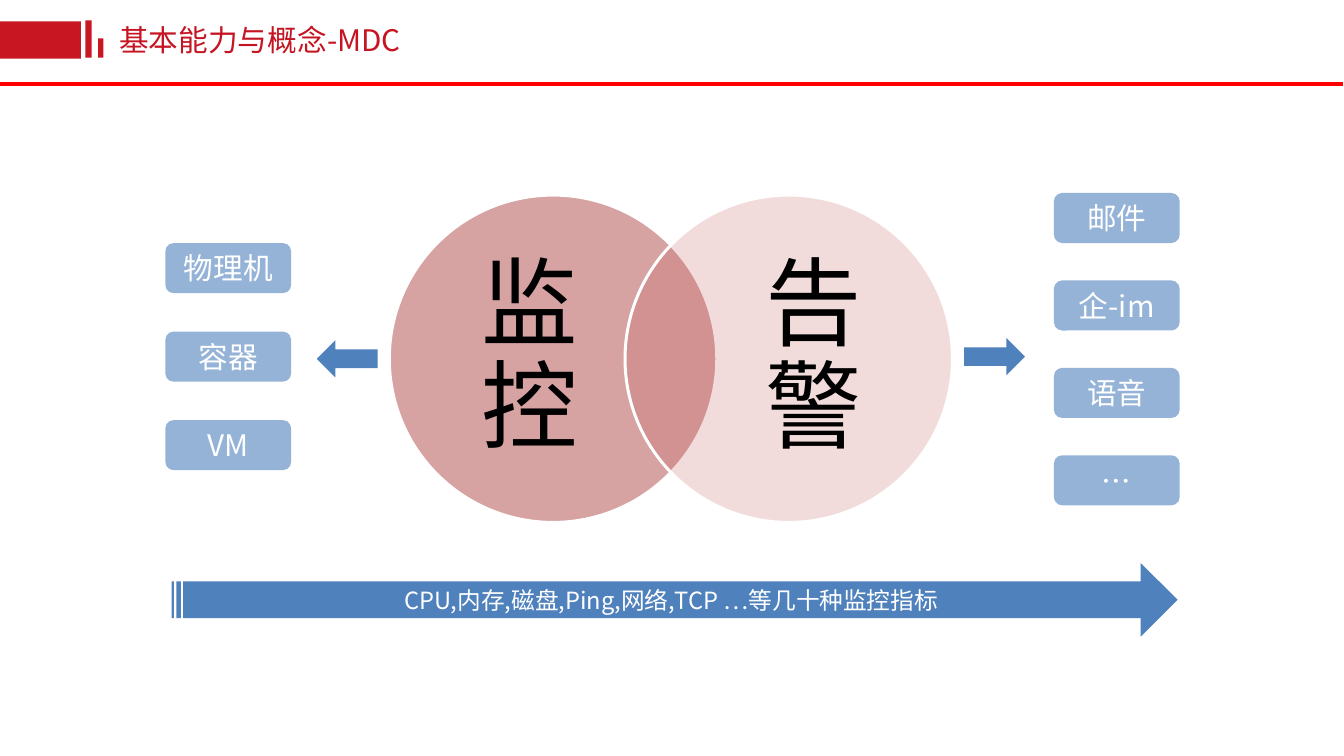
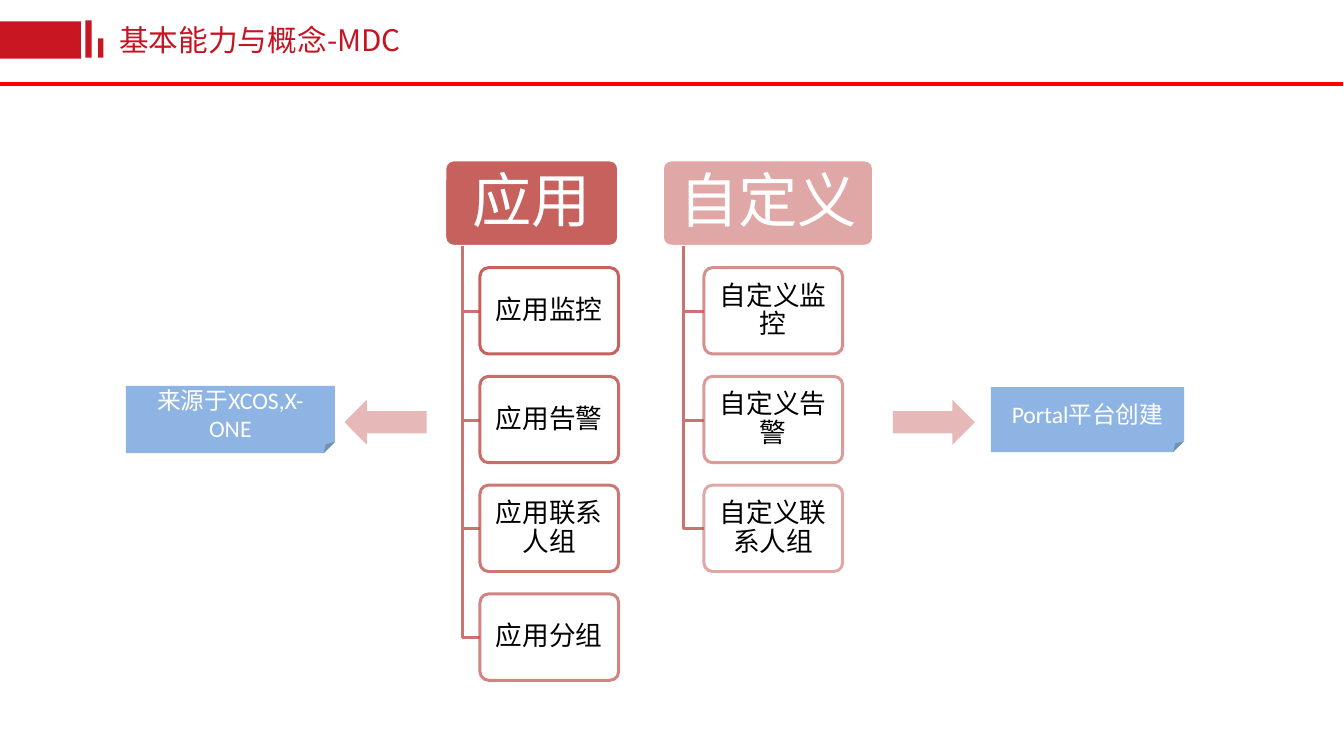
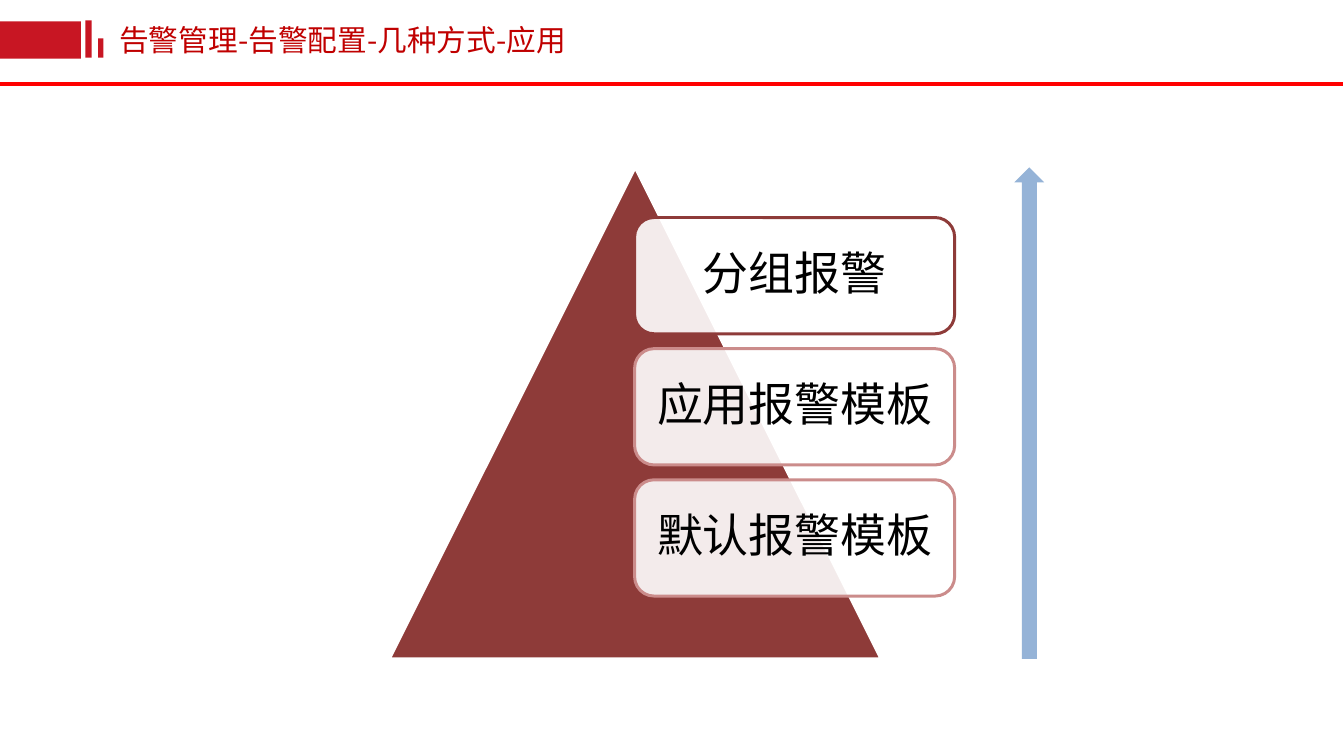
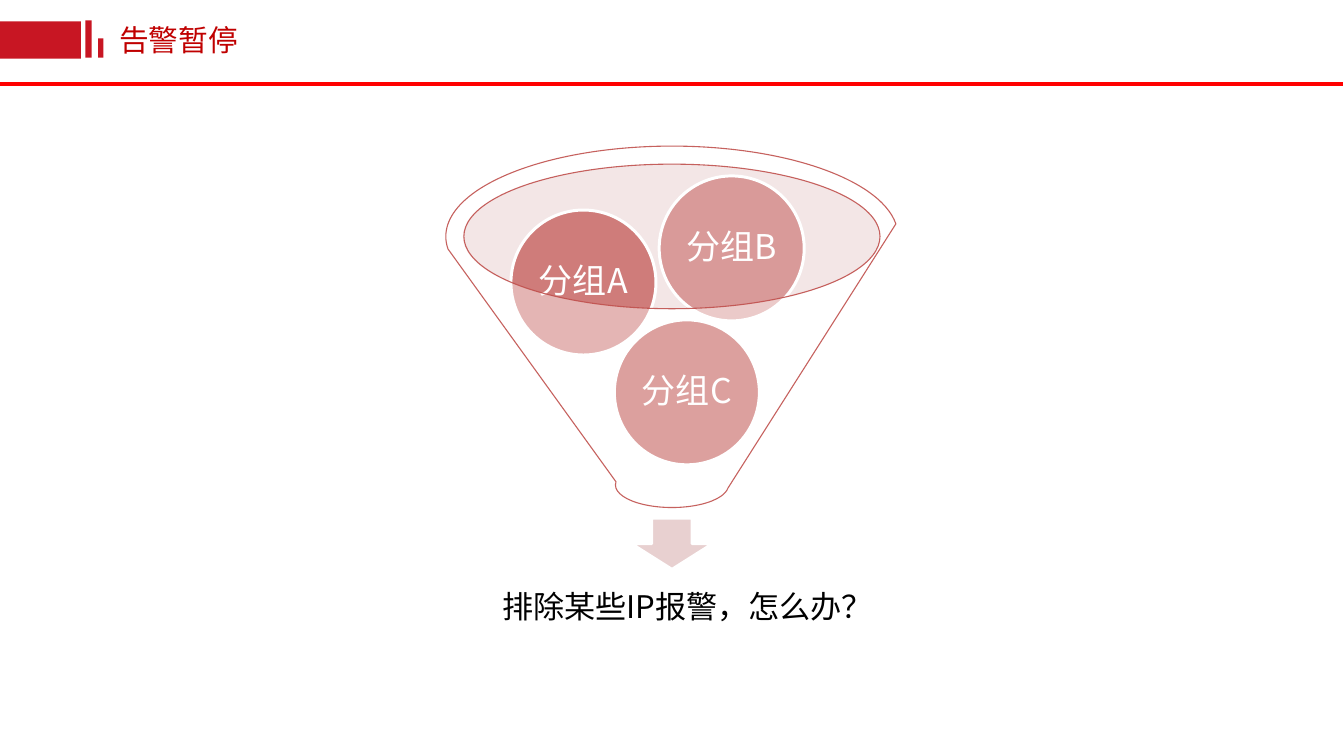
"""Build four slides on monitoring and alerting: scope, structure, alarm templates and alarm pausing."""
from dataclasses import dataclass

from lxml import etree
from pptx import Presentation
from pptx.dml.color import RGBColor
from pptx.enum.shapes import MSO_CONNECTOR, MSO_SHAPE
from pptx.enum.text import MSO_ANCHOR, PP_ALIGN
from pptx.oxml.ns import qn
from pptx.util import Inches, Pt

RECT, ROUND, OVAL = MSO_SHAPE.RECTANGLE, MSO_SHAPE.ROUNDED_RECTANGLE, MSO_SHAPE.OVAL
LEFT_ARROW, RIGHT_ARROW = MSO_SHAPE.LEFT_ARROW, MSO_SHAPE.RIGHT_ARROW
UP_ARROW, DOWN_ARROW = MSO_SHAPE.UP_ARROW, MSO_SHAPE.DOWN_ARROW
STRIPED_ARROW, NOTE = MSO_SHAPE.STRIPED_RIGHT_ARROW, MSO_SHAPE.FOLDED_CORNER
TRIANGLE, FUNNEL = MSO_SHAPE.ISOSCELES_TRIANGLE, MSO_SHAPE.FUNNEL
LEFT, CENTER = PP_ALIGN.LEFT, PP_ALIGN.CENTER
TOP, MIDDLE = MSO_ANCHOR.TOP, MSO_ANCHOR.MIDDLE


@dataclass(frozen=True)
class Theme:
    font: str = "Noto Sans CJK SC"
    latin_font: str = "Calibri"
    white: str = "FFFFFF"
    black: str = "000000"
    band: str = "C81623"
    rule: str = "FF0000"
    title_bright: str = "C51422"
    title_dark: str = "C00000"
    red: str = "C0504D"
    venn_left: str = "AE4946"
    venn_right: str = "C0524F"
    stem: str = "C77472"
    pink_arrow: str = "E6B9B8"
    pyramid: str = "8E3B39"
    pyramid_light: str = "CB8C8B"
    rim: str = "E2C2C2"
    drop: str = "E8D0D0"
    blue: str = "4F81BD"
    chip: str = "95B3D7"
    note: str = "8EB4E3"
    venn_size: int = 65
    header_size: int = 40
    template_size: int = 31
    group_size: int = 23
    question_size: int = 21
    title_size: int = 20
    item_size: int = 18
    note_size: int = 16


THEME = Theme()


def draw(slide, kind, at, fill, opacity=100, line=None, weight=2, line_opacity=100, radius=None):
    shape = slide.shapes.add_shape(kind, *map(Inches, at))
    shape.shadow.inherit = False
    shape.fill.solid()
    shape.fill.fore_color.rgb = RGBColor.from_string(fill)
    if line:
        shape.line.color.rgb = RGBColor.from_string(line)
        shape.line.width = Pt(weight)
    else:
        shape.line.fill.background()
    if radius is not None:
        shape.adjustments[0] = radius
    for color, percent in zip(shape._element.spPr.iter(qn("a:srgbClr")), (opacity, line_opacity)):
        if percent < 100:
            etree.SubElement(color, qn("a:alpha"), val=str(percent * 1000))
    return shape


def write(shape, text, size, color, font=THEME.font, align=CENTER, anchor=MIDDLE, inset=(0.1, 0.05), spacing=None):
    frame = shape.text_frame
    frame.word_wrap = True
    frame.vertical_anchor = anchor
    frame.margin_left = frame.margin_right = Inches(inset[0])
    frame.margin_top = frame.margin_bottom = Inches(inset[1])
    paragraph = frame.paragraphs[0]
    paragraph.text = text
    paragraph.alignment = align
    if spacing:
        paragraph.line_spacing = spacing
    paragraph.font.size = Pt(size)
    paragraph.font.name = font
    paragraph.font.color.rgb = RGBColor.from_string(color)
    defaults = paragraph._p.pPr.find(qn("a:defRPr"))
    etree.SubElement(defaults, qn("a:ea"), typeface=font)


deck = Presentation()
deck.slide_width, deck.slide_height = Inches(12.6), Inches(7.09)

slides = []
for title, title_color in [
    ("基本能力与概念-MDC", THEME.title_bright),
    ("基本能力与概念-MDC", THEME.title_bright),
    ("告警管理-告警配置-几种方式-应用", THEME.title_dark),
    ("告警暂停", THEME.title_dark),
]:
    slide = deck.slides.add_slide(deck.slide_layouts[6])
    for band in [(0.8, 0.19, 0.06, 0.35), (0.92, 0.36, 0.05, 0.18), (0, 0.2, 0.76, 0.35)]:
        draw(slide, RECT, band, THEME.band)
    rule = slide.shapes.add_connector(
        MSO_CONNECTOR.STRAIGHT, Inches(0), Inches(0.79), Inches(12.59), Inches(0.79))
    rule.line.color.rgb = RGBColor.from_string(THEME.rule)
    rule.line.width = Pt(3)
    etree.SubElement(rule._element.spPr, qn("a:effectLst"))
    heading = slide.shapes.add_textbox(Inches(1.02), Inches(0.16), Inches(5.51), Inches(0.44))
    write(heading, title, THEME.title_size, title_color, align=LEFT, anchor=TOP)
    slides.append(slide)

scope, structure, templates, pausing = slides

for circle_left, label_left, label, fill, opacity in [
    (3.65, 4.08, "监控", THEME.venn_left, 50),
    (5.86, 6.74, "告警", THEME.venn_right, 20),
]:
    draw(scope, OVAL, (circle_left, 1.83, 3.07, 3.07), fill, opacity, THEME.white)
    caption = scope.shapes.add_textbox(Inches(label_left), Inches(2.19), Inches(1.77), Inches(2.35))
    write(caption, label, THEME.venn_size, THEME.black, THEME.latin_font, inset=(0, 0), spacing=0.9)

for left, top, pitch, names in [
    (1.55, 2.28, 0.83, ["物理机", "容器", "VM"]),
    (9.88, 1.81, 0.82, ["邮件", "企-im", "语音", "…"]),
]:
    for row, name in enumerate(names):
        chip = draw(scope, ROUND, (left, top + row * pitch, 1.18, 0.47), THEME.chip)
        write(chip, name, THEME.title_size, THEME.white)

metrics = draw(scope, STRIPED_ARROW, (1.61, 5.28, 9.43, 0.69), THEME.blue)
write(metrics, "CPU,内存,磁盘,Ping,网络,TCP …等几十种监控指标", THEME.note_size, THEME.white)
draw(scope, LEFT_ARROW, (2.97, 3.19, 0.57, 0.35), THEME.blue)
draw(scope, RIGHT_ARROW, (9.04, 3.17, 0.57, 0.35), THEME.blue)

fade_step = 0
for header, left, width, stem_left, item_left, opacity, items in [
    ("应用", 4.17, 1.63, 4.34, 4.5, 90, ["应用监控", "应用告警", "应用联系人组", "应用分组"]),
    ("自定义", 6.21, 1.98, 6.41, 6.6, 50, ["自定义监控", "自定义告警", "自定义联系人组"]),
]:
    head = draw(structure, ROUND, (left, 1.5, width, 0.81), THEME.red, opacity, THEME.white, radius=0.1)
    write(head, header, THEME.header_size, THEME.white, inset=(0.08, 0.06), spacing=0.9)
    for row, name in enumerate(items):
        top = 2.51 + row * 1.02
        middle = Inches(top + 0.41)
        outline = structure.shapes.build_freeform(Inches(stem_left), Inches(2.31))
        outline.add_line_segments([(Inches(stem_left), middle), (Inches(item_left), middle)], close=False)
        stem = outline.convert_to_shape()
        stem.shadow.inherit = False
        stem.fill.background()
        stem.line.color.rgb = RGBColor.from_string(THEME.stem)
        stem.line.width = Pt(2)
        item = draw(structure, ROUND, (item_left, top, 1.3, 0.81), THEME.white, 90, THEME.red,
                    line_opacity=round(90 - fade_step * 40 / 6), radius=0.1)
        write(item, name, THEME.item_size, THEME.black, inset=(0.04, 0.03), spacing=0.9)
        fade_step += 1

for at, origin in [
    ((9.29, 3.63, 1.81, 0.61), "Portal平台创建"),
    ((1.18, 3.62, 1.96, 0.63), "来源于XCOS,X-ONE"),
]:
    source_note = draw(structure, NOTE, at, THEME.note)
    write(source_note, origin, THEME.note_size, THEME.white, THEME.latin_font)
draw(structure, LEFT_ARROW, (3.23, 3.75, 0.77, 0.42), THEME.pink_arrow)
draw(structure, RIGHT_ARROW, (8.37, 3.75, 0.77, 0.42), THEME.pink_arrow)

draw(templates, TRIANGLE, (3.65, 1.57, 4.61, 4.61), THEME.pyramid, line=THEME.white)
for row, (name, border) in enumerate([
    ("分组报警", THEME.pyramid),
    ("应用报警模板", THEME.pyramid_light),
    ("默认报警模板", THEME.pyramid_light),
]):
    level = draw(templates, ROUND, (5.95, 2.04 + row * 1.23, 3, 1.09), THEME.white, 90, border)
    write(level, name, THEME.template_size, THEME.black, inset=(0.13, 0.13), spacing=0.9)
draw(templates, UP_ARROW, (9.51, 1.57, 0.28, 4.61), THEME.chip)

draw(pausing, OVAL, (4.34, 1.54, 3.91, 1.36), THEME.rim, 40)
draw(pausing, DOWN_ARROW, (5.92, 4.86, 0.76, 0.48), THEME.drop, line=THEME.white)
question = pausing.shapes.add_textbox(Inches(4.48), Inches(5.25), Inches(3.64), Inches(0.91))
write(question, "排除某些IP报警，怎么办？", THEME.question_size, THEME.black, inset=(0.16, 0.16), spacing=0.9)
for name, left, top, opacity in [
    ("分组C", 5.76, 3, 90),
    ("分组A", 4.79, 1.97, 70),
    ("分组B", 6.18, 1.65, 50),
]:
    group = draw(pausing, OVAL, (left, top, 1.36, 1.36), THEME.red, opacity, THEME.white)
    write(group, name, THEME.group_size, THEME.white, inset=(0.03, 0.03), spacing=0.9)
draw(pausing, FUNNEL, (4.18, 1.37, 4.24, 3.39), THEME.white, 40, THEME.red, 0.75, 90)

deck.save("out.pptx")
